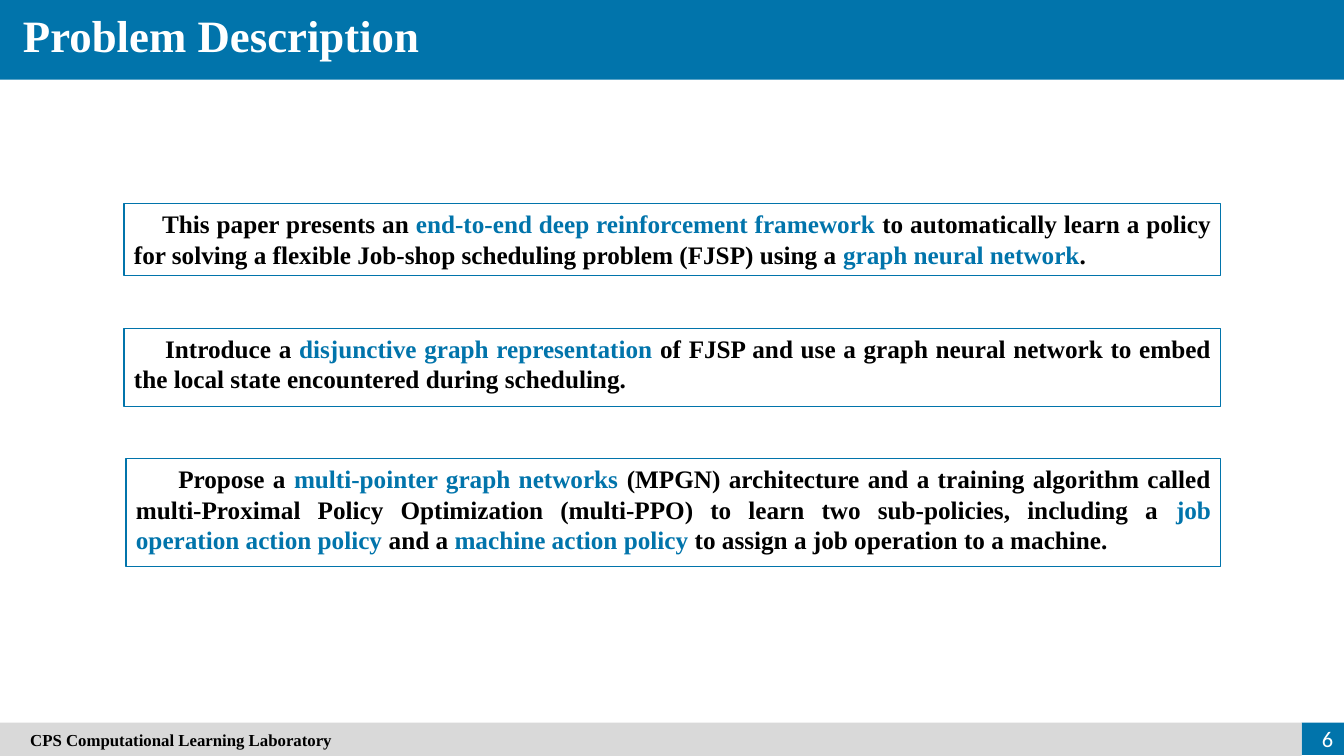
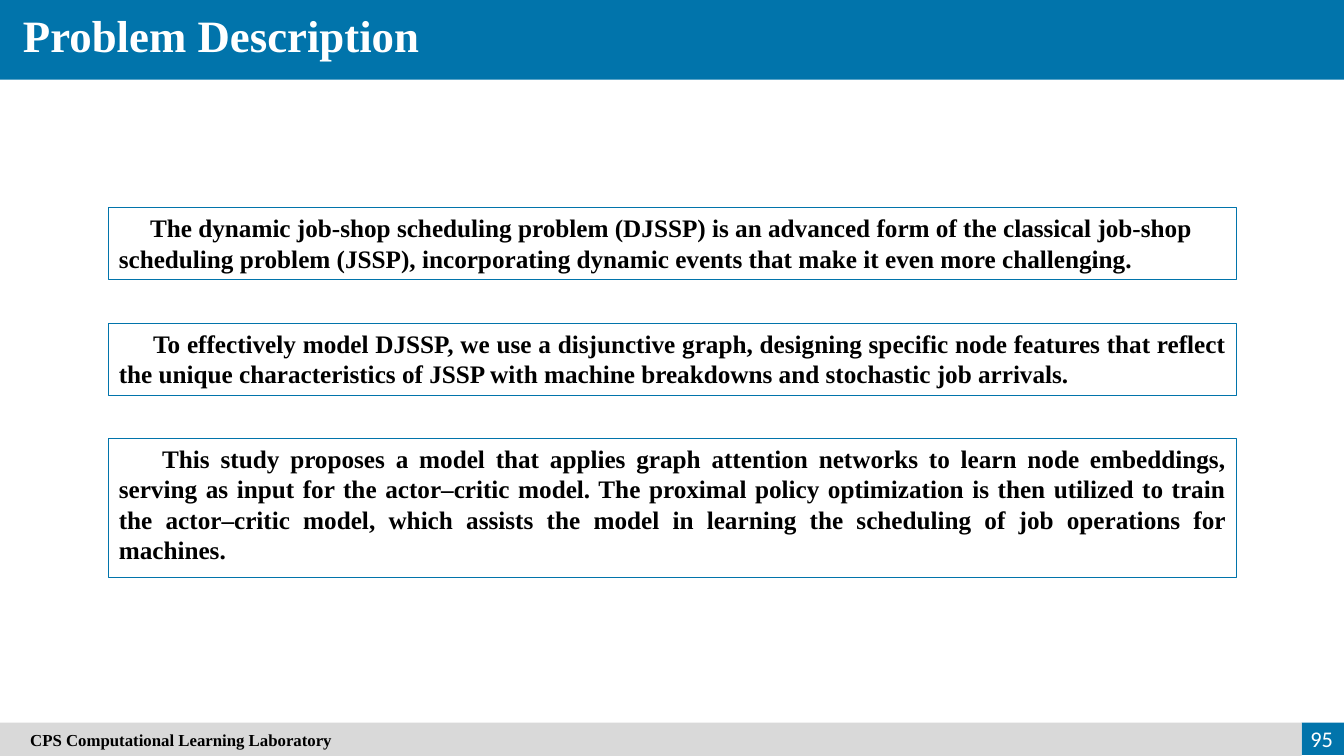
from pptx import Presentation
from pptx.dml.color import RGBColor
from pptx.enum import shapes, text
from pptx.util import Inches, Pt

COLORS = {"blue": "0174AB", "grey": "D9D9D9", "black": "000000", "white": "FFFFFF"}
SERIF, SANS = "Times New Roman", "Calibri"
WIDTH, HEIGHT = 13.33, 7.5
FOOTER_TOP, NUMBER_LEFT = 7.17, 12.91


class Deck:
    """Holds the shared style and the current slide."""

    def __init__(self):
        self.prs = Presentation()
        self.prs.slide_width = Inches(WIDTH)
        self.prs.slide_height = Inches(HEIGHT)
        self.s = None

    @staticmethod
    def color(name):
        return RGBColor.from_string(COLORS[name])

    def rect(self, left, top, width, height, fill=None, line=None):
        sp = self.s.shapes.add_shape(
            shapes.MSO_SHAPE.RECTANGLE,
            Inches(left), Inches(top), Inches(width), Inches(height))
        sp.shadow.inherit = False
        if fill:
            sp.fill.solid()
            sp.fill.fore_color.rgb = self.color(fill)
        else:
            sp.fill.background()
        if line:
            sp.line.color.rgb = self.color(line)
            sp.line.width = Pt(0.75)
        else:
            sp.line.fill.background()
        return sp

    def textbox(self, left, top, width, height):
        return self.s.shapes.add_textbox(
            Inches(left), Inches(top), Inches(width), Inches(height))

    def frame(self, sp, anchor=text.MSO_ANCHOR.TOP):
        tf = sp.text_frame
        tf.word_wrap = True
        tf.vertical_anchor = anchor
        return tf

    def run(self, p, words, size, color="black", font=SERIF, bold=True):
        r = p.add_run()
        r.text = words
        r.font.size, r.font.name, r.font.bold = Pt(size), font, bold
        r.font.color.rgb = self.color(color)

    def title(self, words):
        self.rect(0, 0, WIDTH, 0.79, fill="blue")
        p = self.frame(self.textbox(0.13, 0.03, 5.37, 0.64)).paragraphs[0]
        self.run(p, words, 32, "white")

    def footer(self, number):
        # Number block and grey band
        self.rect(NUMBER_LEFT, FOOTER_TOP, WIDTH - NUMBER_LEFT, 0.32, fill="blue")
        band = self.rect(0, FOOTER_TOP, NUMBER_LEFT, HEIGHT - FOOTER_TOP, fill="grey")
        tf = self.frame(band, text.MSO_ANCHOR.MIDDLE)
        tf.margin_left = Inches(0.3)
        p = tf.paragraphs[0]
        p.alignment = text.PP_ALIGN.LEFT
        self.run(p, "CPS Computational Learning Laboratory", 12)
        # Slide number
        sp = self.textbox(12.69, 7.13, 0.63, 0.4)
        p = self.frame(sp, text.MSO_ANCHOR.MIDDLE).paragraphs[0]
        p.alignment = text.PP_ALIGN.RIGHT
        self.run(p, str(number), 16, "white", SANS, False)

    def statement(self, left, top, width, height, indent, *paragraphs):
        """Outlined box; words between bars are set in the accent colour."""
        tf = self.frame(self.rect(left, top, width, height, line="blue"))
        for i, words in enumerate(paragraphs):
            p = tf.add_paragraph() if i else tf.paragraphs[0]
            p.alignment = text.PP_ALIGN.JUSTIFY
            if i == 0:
                p._p.get_or_add_pPr().set("indent", str(Inches(indent)))
            for j, part in enumerate(words.split("|")):
                self.run(p, part, 18, "blue" if j % 2 else "black")

    def slide(self, title, number, statements):
        self.s = self.prs.slides.add_slide(self.prs.slide_layouts[6])
        self.title(title)
        for statement in statements:
            self.statement(*statement)
        self.footer(number)


# Each statement: left, top, width, height, first-line indent, paragraphs
PAPER = [
    (1.23, 2.02, 10.88, 0.71, 0.28,
     "This paper presents an |end-to-end deep reinforcement framework| to "
     "automatically learn a policy for solving a flexible Job-shop scheduling "
     "problem (FJSP) using a |graph neural network|."),
    (1.23, 3.26, 10.88, 0.77, 0.31,
     "Introduce a |disjunctive graph representation| of FJSP and use a graph "
     "neural network to embed the local state encountered during scheduling."),
    (1.25, 4.55, 10.86, 1.07, 0.42,
     "Propose a |multi-pointer graph networks| (MPGN) architecture and a training "
     "algorithm called multi-Proximal Policy Optimization (multi-PPO) to learn two "
     "sub-policies, including a |job operation action policy| and a "
     "|machine action policy| to assign a job operation to a machine."),
]
STUDY = [
    (1.08, 2.06, 11.18, 0.71, 0.31,
     "The dynamic job-shop scheduling problem (DJSSP) is an advanced form of the "
     "classical job-shop",
     "scheduling problem (JSSP), incorporating dynamic events that make it even "
     "more challenging."),
    (1.08, 3.21, 11.18, 0.71, 0.34,
     "To effectively model DJSSP, we use a disjunctive graph, designing specific "
     "node features that reflect the unique characteristics of JSSP with machine "
     "breakdowns and stochastic job arrivals."),
    (1.08, 4.35, 11.18, 1.38, 0.43,
     "This study proposes a model that applies graph attention networks to learn "
     "node embeddings, serving as input for the actor–critic model. The proximal "
     "policy optimization is then utilized to train the actor–critic model, which "
     "assists the model in learning the scheduling of job operations for machines."),
]


def main():
    deck = Deck()
    deck.slide("Problem Description", 6, PAPER)
    deck.slide("Problem Description", 95, STUDY)
    deck.prs.save("out.pptx")


if __name__ == "__main__":
    main()
